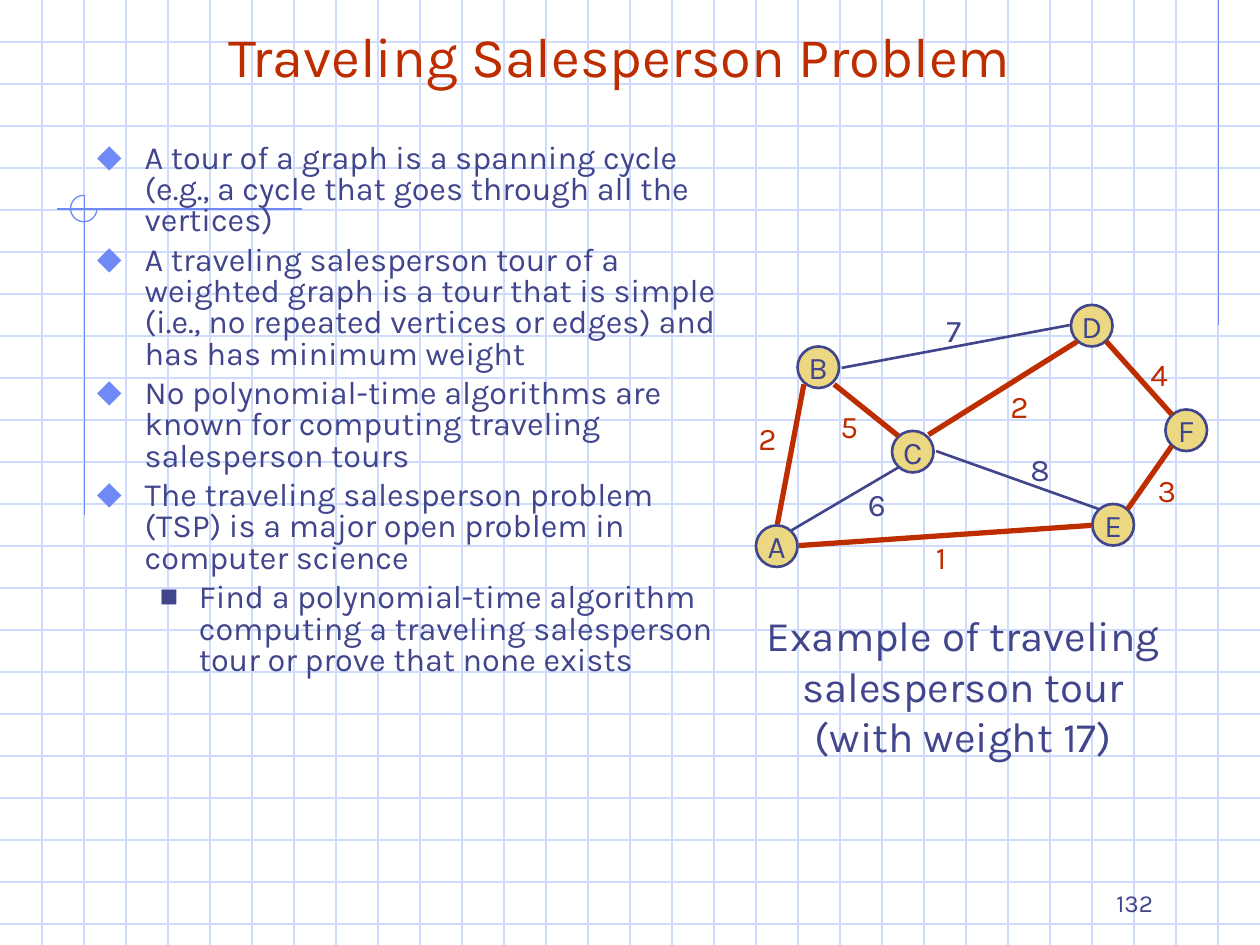
from dataclasses import dataclass
from typing import NamedTuple

from pptx import Presentation
from pptx.dml.color import RGBColor
from pptx.enum.shapes import MSO_CONNECTOR, MSO_SHAPE
from pptx.enum.text import MSO_ANCHOR, MSO_AUTO_SIZE, PP_ALIGN
from pptx.oxml.ns import qn
from pptx.util import Inches, Pt
from lxml.etree import SubElement


@dataclass(frozen=True)
class Theme:
    font: str = "Karla"
    ink: str = "40458C"
    tour: str = "BE2D00"
    accent: str = "6F89F7"
    grid: str = "CFDBFD"
    node: str = "ECD882"
    title_size: float = 32
    caption_size: float = 24
    body_size: float = 18.5
    label_size: float = 18
    number_size: float = 14
    thin: float = 0.75
    edge: float = 1.5
    tour_edge: float = 3


class Node(NamedTuple):
    name: str
    left: float
    top: float


class Edge(NamedTuple):
    start: tuple[float, float]
    end: tuple[float, float]
    weight: str
    label_at: tuple[float, float]
    on_tour: bool


class Bullet(NamedTuple):
    mark: str
    color: str
    percent: int
    indent: float
    hanging: float


THEME = Theme()
WIDTH, HEIGHT, STEP = 10, 7.5, 1 / 3
NODE_SIZE = 0.33
LABEL_WIDTH, LABEL_HEIGHT = 0.34, 0.4

DIAMOND = Bullet("⬥", THEME.accent, 110, 0.38, 0.38)
SQUARE = Bullet("■", THEME.ink, 60, 0.81, 0.31)

BODY = [
    (DIAMOND, "A tour of a graph is a spanning cycle (e.g., a cycle that goes through all the vertices)"),
    (DIAMOND, "A traveling salesperson tour of a weighted graph is a tour that is simple "
              "(i.e., no repeated vertices or edges) and has has minimum weight"),
    (DIAMOND, "No polynomial-time algorithms are known for computing traveling salesperson tours"),
    (DIAMOND, "The traveling salesperson problem (TSP) is a major open problem in computer science"),
    (SQUARE, "Find a polynomial-time algorithm computing a traveling salesperson tour "
             "or prove that none exists"),
]

NODES = [
    Node("B", 6.33, 2.75), Node("D", 8.5, 2.42), Node("C", 7.08, 3.42),
    Node("A", 6, 4.17), Node("F", 9.25, 3.25), Node("E", 8.67, 4),
]

EDGES = [
    Edge((6.62, 3.05), (7.13, 3.46), "5", (6.57, 3.18), True),
    Edge((7.13, 3.71), (6.28, 4.21), "6", (6.79, 3.8), False),
    Edge((6.38, 3.05), (6.17, 4.16), "2", (5.92, 3.28), True),
    Edge((7.43, 3.58), (8.72, 4.04), "8", (8.08, 3.52), False),
    Edge((6.34, 4.33), (8.66, 4.17), "1", (7.3, 4.22), True),
    Edge((6.68, 2.92), (8.49, 2.58), "7", (7.4, 2.42), False),
    Edge((7.37, 3.45), (8.55, 2.71), "2", (7.92, 3.02), True),
    Edge((9.3, 3.29), (8.78, 2.71), "4", (9.03, 2.77), True),
    Edge((8.95, 4.04), (9.3, 3.54), "3", (9.09, 3.69), True),
]


def apply(target, values: dict) -> None:
    for name, value in values.items():
        setattr(target, name, value)


def style_font(font, size: float, color: str) -> None:
    apply(font, {"name": THEME.font, "size": Pt(size), "bold": False})
    font.color.rgb = RGBColor.from_string(color)


def style_line(line, color: str, width: float) -> None:
    line.color.rgb = RGBColor.from_string(color)
    line.width = Pt(width)


def draw_line(slide, start: tuple, end: tuple, color: str, width: float) -> None:
    line = slide.shapes.add_connector(MSO_CONNECTOR.STRAIGHT, *map(Inches, start + end))
    style_line(line.line, color, width)
    SubElement(line._element.spPr, qn("a:effectLst"))


def write_text(box, lines: list, size: float, color: str, align=PP_ALIGN.CENTER, **frame_format) -> None:
    frame = box.text_frame
    apply(frame, {"word_wrap": False} | frame_format)
    for index, text in enumerate(lines):
        para = frame.paragraphs[0] if index == 0 else frame.add_paragraph()
        para.alignment = align
        para.text = text
        for span in para.runs:
            style_font(span.font, size, color)


def add_text(slide, place: tuple, lines: list, size: float, color: str, **options) -> None:
    box = slide.shapes.add_textbox(*map(Inches, place))
    write_text(box, lines, size, color, **options)


def add_bullet(para, bullet: Bullet) -> None:
    properties = para._p.get_or_add_pPr()
    properties.set("marL", str(Inches(bullet.indent)))
    properties.set("indent", str(-Inches(bullet.hanging)))
    color = SubElement(properties, qn("a:buClr"))
    SubElement(color, qn("a:srgbClr"), val=bullet.color)
    SubElement(properties, qn("a:buSzPct"), val=str(bullet.percent * 1000))
    SubElement(properties, qn("a:buFont"), typeface=THEME.font)
    SubElement(properties, qn("a:buChar"), char=bullet.mark)


def draw_background(slide) -> None:
    # Graph-paper grid
    for row in range(1, int(HEIGHT / STEP) + 1):
        draw_line(slide, (0, row * STEP), (WIDTH, row * STEP), THEME.grid, THEME.thin)
    for column in range(1, round(WIDTH / STEP)):
        draw_line(slide, (column * STEP, 0), (column * STEP, HEIGHT), THEME.grid, THEME.thin)
    # Accent rules and the three-quarter circle
    for start, end in [((9.67, 0), (9.67, 2.58)), ((2.4, 1.66), (0.45, 1.66)), ((0.67, 1.55), (0.67, 4.09))]:
        draw_line(slide, start, end, THEME.accent, THEME.thin)
    arc = slide.shapes.add_shape(MSO_SHAPE.ARC, *map(Inches, (0.56, 1.55, 0.21, 0.21)))
    arc.shadow.inherit = False
    arc.adjustments[0], arc.adjustments[1] = 0, 162  # 0 to 270 degrees
    arc.fill.background()
    style_line(arc.line, THEME.accent, THEME.thin)


def draw_body(slide) -> None:
    box = slide.shapes.add_textbox(*map(Inches, (0.67, 1.1, 5.21, 5.17)))
    frame = box.text_frame
    frame.word_wrap = True
    for index, (bullet, text) in enumerate(BODY):
        para = frame.paragraphs[0] if index == 0 else frame.add_paragraph()
        apply(para, {"line_spacing": 0.8, "space_before": Pt(5 if index else 0),
                     "level": int(bullet is SQUARE)})
        add_bullet(para, bullet)
        span = para.add_run()
        span.text = text
        style_font(span.font, THEME.body_size, THEME.ink)


def draw_node(slide, node: Node) -> None:
    circle = slide.shapes.add_shape(
        MSO_SHAPE.OVAL, *map(Inches, (node.left, node.top, NODE_SIZE, NODE_SIZE)))
    circle.shadow.inherit = False
    circle.fill.solid()
    circle.fill.fore_color.rgb = RGBColor.from_string(THEME.node)
    style_line(circle.line, THEME.ink, THEME.edge)
    write_text(circle, [node.name], THEME.label_size, THEME.ink, vertical_anchor=MSO_ANCHOR.MIDDLE)


def draw_graph(slide) -> None:
    for node in NODES:
        draw_node(slide, node)
    for edge in EDGES:
        color = THEME.tour if edge.on_tour else THEME.ink
        draw_line(slide, edge.start, edge.end, color, THEME.tour_edge if edge.on_tour else THEME.edge)
        add_text(slide, (*edge.label_at, LABEL_WIDTH, LABEL_HEIGHT), [edge.weight],
                 THEME.label_size, color, auto_size=MSO_AUTO_SIZE.SHAPE_TO_FIT_TEXT)


def main() -> None:
    deck = Presentation()
    apply(deck, {"slide_width": Inches(WIDTH), "slide_height": Inches(HEIGHT)})
    slide = deck.slides.add_slide(deck.slide_layouts[6])
    draw_background(slide)
    # Title and bullets
    add_text(slide, (0.67, 0.33, 8.5, 0.42), ["Traveling Salesperson Problem"], THEME.title_size,
             THEME.tour, word_wrap=True, vertical_anchor=MSO_ANCHOR.BOTTOM)
    draw_body(slide)
    # Weighted graph with its caption
    draw_graph(slide)
    add_text(slide, (5.94, 4.79, 3.41, 1.3),
             ["Example of traveling\vsalesperson tour", "(with weight 17)"],
             THEME.caption_size, THEME.ink, auto_size=MSO_AUTO_SIZE.SHAPE_TO_FIT_TEXT)
    # Page number
    add_text(slide, (7.17, 6.83, 2.08, 0.5), ["132"], THEME.number_size, THEME.ink,
             align=PP_ALIGN.RIGHT, word_wrap=True, vertical_anchor=MSO_ANCHOR.BOTTOM)
    deck.save("out.pptx")


if __name__ == "__main__":
    main()
